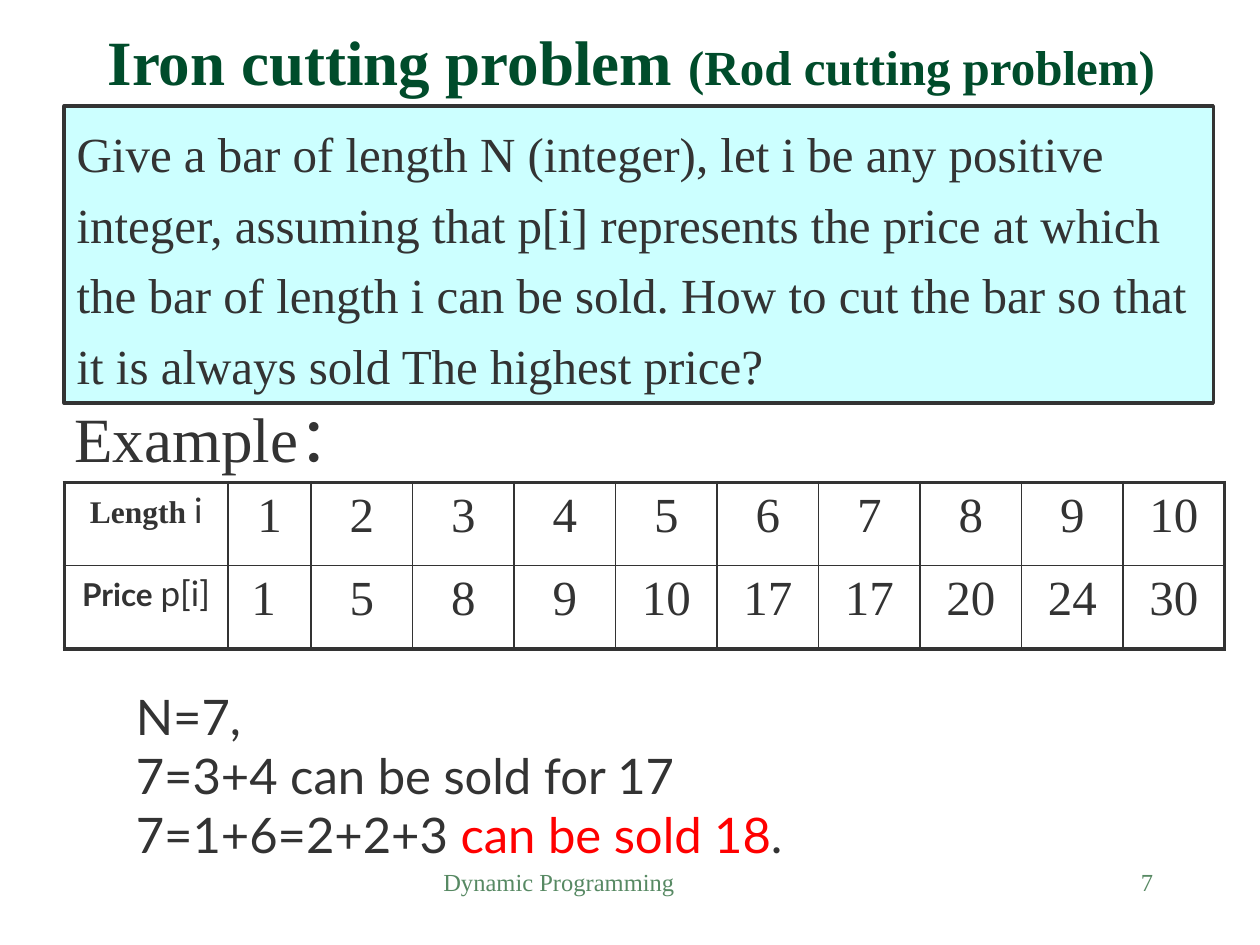
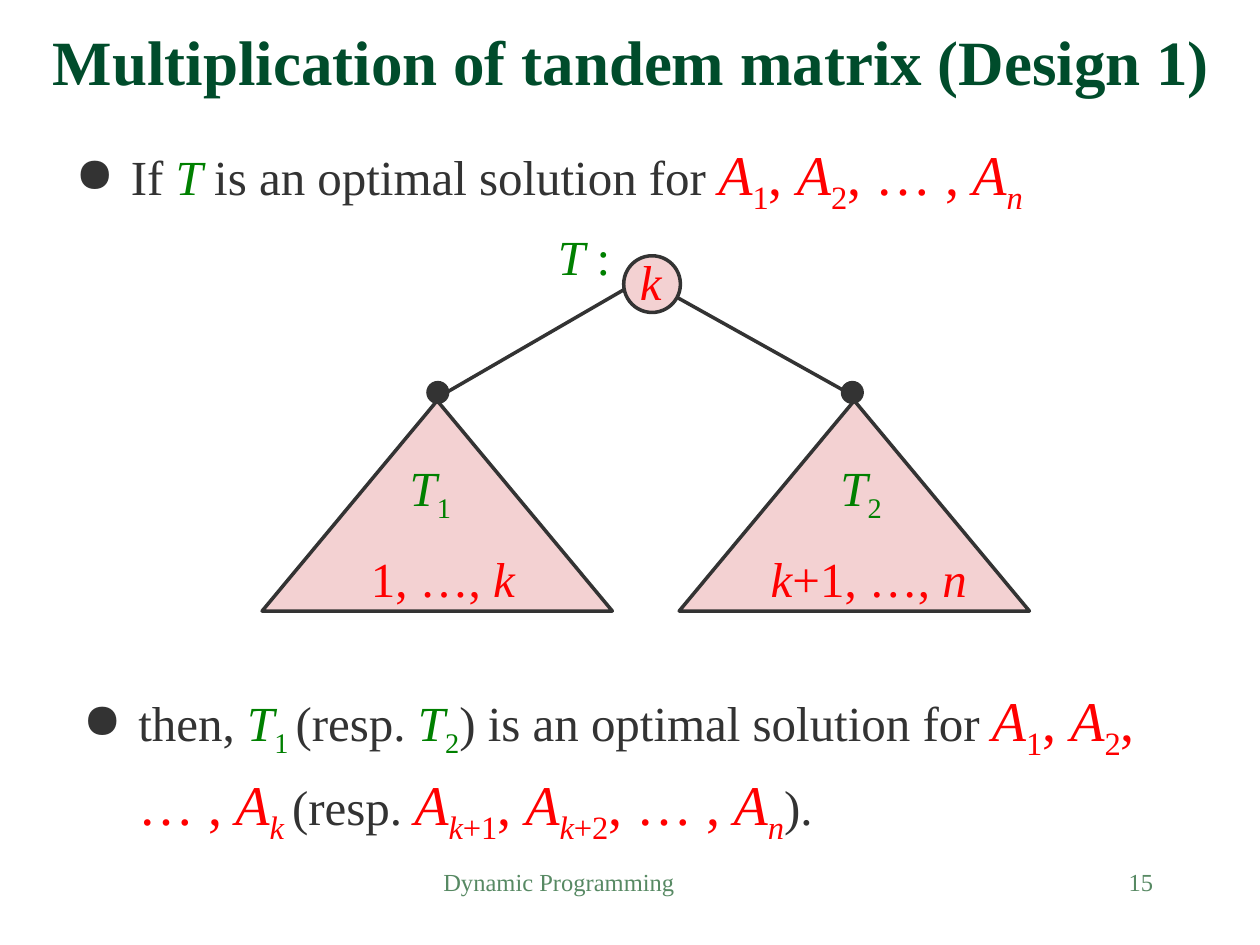
from dataclasses import dataclass, field
from itertools import groupby
from typing import NamedTuple

from lxml.etree import SubElement
from pptx import Presentation
from pptx.dml.color import RGBColor
from pptx.enum.shapes import MSO_CONNECTOR, MSO_SHAPE
from pptx.enum.text import MSO_ANCHOR, PP_ALIGN
from pptx.oxml.ns import qn
from pptx.util import Emu, Inches, Pt

COLUMNS, ROWS = 100, 75


@dataclass(frozen=True)
class Theme:
    title: str = "004C2B"
    footer: str = "578963"
    ink: str = "333333"
    tree: str = "008000"
    accent: str = "FF0000"
    panel: str = "CCFFFF"
    node: str = "F3D1D2"
    serif: str = "Times New Roman"
    sans: str = "Lato"
    heading: int = 36
    matrix: int = 32
    body: int = 28
    cell: int = 20
    label: int = 18
    small: int = 14
    line: float = 2
    frame: float = 2.25
    rule: float = 1


T = Theme()


class Box(NamedTuple):
    col: float
    row: float
    cols: float
    rows: float


class Run(NamedTuple):
    text: str
    color: str = T.ink
    size: int = T.body
    face: str = T.serif
    bold: bool = False
    italic: bool = False
    sub: bool = False


@dataclass(frozen=True)
class Para:
    runs: list[Run]
    fmt: dict = field(default_factory=dict)
    bullet: bool = False


@dataclass(frozen=True)
class Branch:
    triangle: Box
    dot: Box
    edge: tuple[float, float, float, float]
    name_box: Box
    name: list[Run]
    range_box: Box
    range: list[Run]


CENTER = {"alignment": PP_ALIGN.CENTER}
BULLET = {"line_spacing": 1.1, "space_before": Pt(6)}
TITLE_BOX = Box(1.9, 2.5, 96.4, 5.8)
FOOTER_BOX = Box(34.2, 68.3, 31.7, 5)
NUMBER_BOX = Box(71.7, 68.3, 20.8, 5)

prs = Presentation()
prs.slide_width, prs.slide_height = Inches(10), Inches(7.5)


def x(cols: float) -> Emu:
    return Emu(round(prs.slide_width * cols / COLUMNS))


def y(rows: float) -> Emu:
    return Emu(round(prs.slide_height * rows / ROWS))


def place(box: Box) -> tuple[Emu, Emu, Emu, Emu]:
    return x(box.col), y(box.row), x(box.cols), y(box.rows)


def assign(target, values: dict) -> None:
    for key, value in values.items():
        setattr(target, key, value)


def write(tf, paras: list[Para]) -> None:
    for i, para in enumerate(paras):
        p = tf.paragraphs[0] if i == 0 else tf.add_paragraph()
        assign(p, {"alignment": PP_ALIGN.LEFT} | para.fmt)
        if para.bullet:
            pPr = p._p.get_or_add_pPr()
            pPr.set("marL", str(Inches(0.44)))
            pPr.set("indent", str(-Inches(0.44)))
            color = SubElement(pPr, qn("a:buClr"))
            SubElement(color, qn("a:srgbClr"), val=T.ink)
            SubElement(pPr, qn("a:buChar"), char="●")
        for run in para.runs:
            r = p.add_run()
            r.text = run.text
            assign(r.font, {"name": run.face, "size": Pt(run.size),
                            "bold": run.bold, "italic": run.italic})
            r.font.color.rgb = RGBColor.from_string(run.color)
            if run.sub:
                r._r.get_or_add_rPr().set("baseline", "-25000")


def add_text(s, box: Box, paras: list[Para], wrap: bool = True,
             anchor: MSO_ANCHOR = MSO_ANCHOR.TOP) -> None:
    tf = s.shapes.add_textbox(*place(box)).text_frame
    assign(tf, {"word_wrap": wrap, "vertical_anchor": anchor})
    write(tf, paras)


def set_line(line, width: float) -> None:
    line.color.rgb = RGBColor.from_string(T.ink)
    line.width = Pt(width)


def add_shape(s, kind: MSO_SHAPE, box: Box, fill: str, width: float = T.line):
    sp = s.shapes.add_shape(kind, *place(box))
    sp.shadow.inherit = False
    sp.fill.solid()
    sp.fill.fore_color.rgb = RGBColor.from_string(fill)
    set_line(sp.line, width)
    return sp


def add_line(s, x1: float, y1: float, x2: float, y2: float) -> None:
    cx = s.shapes.add_connector(MSO_CONNECTOR.STRAIGHT, x(x1), y(y1), x(x2), y(y2))
    set_line(cx.line, T.line)
    SubElement(cx._element.spPr, qn("a:effectLst"))


def new_slide(number: int, title: list[Run]):
    s = prs.slides.add_slide(prs.slide_layouts[6])
    add_text(s, FOOTER_BOX, [Para([Run("Dynamic Programming", T.footer, T.small)])])
    add_text(s, NUMBER_BOX, [Para([Run(str(number), T.footer, T.small)],
                                  {"alignment": PP_ALIGN.RIGHT})])
    add_text(s, TITLE_BOX, [Para(title, CENTER)], anchor=MSO_ANCHOR.BOTTOM)
    return s


def heading(text: str, size: int = T.heading) -> Run:
    return Run(text, T.title, size, bold=True)


def indexed(name: str, index: str, color: str, size: int) -> list[Run]:
    parts = [Run("".join(group), color, size, italic=is_letter, sub=True)
             for is_letter, group in groupby(index, str.isalpha)]
    return [Run(name, color, size, italic=True), *parts]


def subtree(index: str) -> list[Run]:
    return indexed("T", index, T.tree, T.body)


def matrices(first: str, second: str, last: str) -> list[Run]:
    def matrix(index: str, name: str = "A") -> list[Run]:
        return indexed(name, index, T.accent, T.matrix)

    return [*matrix(first), Run(", ", T.accent, T.matrix), *matrix(second),
            Run(", … ,", T.accent, T.matrix), *matrix(last, " A")]


def accent(text: str, italic: bool = False) -> Run:
    return Run(text, T.accent, italic=italic)


def set_borders(cell, widths: dict[str, float]) -> None:
    tcPr = cell._tc.get_or_add_tcPr()
    for i, (side, width) in enumerate(widths.items()):
        ln = tcPr.makeelement(qn(f"a:{side}"), {"w": str(Pt(width))})
        SubElement(SubElement(ln, qn("a:solidFill")), qn("a:srgbClr"), val=T.ink)
        tcPr.insert(i, ln)


def add_price_table(s, box: Box, rows: list[list[list[Run]]]) -> None:
    last_row, last_col = len(rows) - 1, len(rows[0]) - 1
    table = s.shapes.add_table(len(rows), len(rows[0]), *place(box)).table
    assign(table, {"first_row": False, "horz_banding": False})
    head, first = 13, 6.6
    rest = (box.cols - head - first) / (last_col - 1)
    for column, width in zip(table.columns, [head, first] + [rest] * (last_col - 1)):
        column.width = x(width)
    for r, row in enumerate(rows):
        table.rows[r].height = y(box.rows / len(rows))
        for c, runs in enumerate(row):
            cell = table.cell(r, c)
            cell.fill.background()
            write(cell.text_frame, [Para(runs, CENTER)])
            edges = {"lnL": c == 0, "lnR": c == last_col,
                     "lnT": r == 0, "lnB": r == last_row}
            set_borders(cell, {side: T.frame if outer else T.rule
                               for side, outer in edges.items()})


def rod_cutting_slide() -> None:
    s = new_slide(7, [heading("Iron cutting problem "),
                      heading("(Rod cutting problem)", T.body)])
    problem = ("Give a bar of length N (integer), let i be any positive integer, "
               "assuming that p[i] represents the price at which the bar of length i "
               "can be sold. How to cut the bar so that it is always sold "
               "The highest price?")
    sp = add_shape(s, MSO_SHAPE.RECTANGLE, Box(5.1, 8.4, 91.2, 23.6), T.panel)
    sp.text_frame.vertical_anchor = MSO_ANCHOR.TOP
    sp.text_frame.word_wrap = True
    write(sp.text_frame, [Para([Run(problem)], {"line_spacing": 1.2})])

    lengths = [Run("Length ", size=T.label, bold=True), Run("i", size=T.cell, face=T.sans)]
    prices = [Run("Price ", size=T.label, face=T.sans, bold=True),
              Run("p[i]", size=T.cell, face=T.sans)]
    price_values = ["1 ", 5, 8, 9, 10, 17, 17, 20, 24, 30]
    add_price_table(s, Box(5.1, 38.3, 92.1, 13.2), [
        [lengths, *([Run(str(n))] for n in range(1, 11))],
        [prices, *([Run(str(n))] for n in price_values)],
    ])
    add_text(s, Box(4.3, 31.2, 26, 7.1), [Para([Run("Example：", size=T.heading)], CENTER)])
    add_text(s, Box(9.8, 54, 67.7, 15), [
        Para([Run("N=7,", face=T.sans)]),
        Para([Run("7=3+4 can be sold for 17", face=T.sans)]),
        Para([Run("7=1+6=2+2+3 ", face=T.sans),
              Run("can be sold 18", T.accent, face=T.sans),
              Run(".", face=T.sans)]),
    ])


def matrix_chain_slide() -> None:
    s = new_slide(15, [heading("Multiplication of tandem matrix (Design 1)")])
    branches = [
        Branch(Box(20.8, 31.8, 27.8, 16.7), Box(33.9, 30.3, 1.7, 1.7),
               (49.5, 23, 35, 31.4), Box(31.3, 36.1, 5.7, 5.7), subtree("1"),
               Box(28.3, 43, 13.7, 5.7), [accent("1, …, "), accent("k", True)]),
        Branch(Box(53.9, 31.8, 27.8, 16.7), Box(66.8, 30.3, 1.7, 1.7),
               (52.3, 22.8, 66.8, 30.9), Box(65.5, 36.1, 5.7, 5.7), subtree("2"),
               Box(59.9, 43, 18.1, 5.7),
               [accent("k", True), accent("+1, …, "), accent("n", True)]),
    ]
    for b in branches:
        add_line(s, *b.edge)
        add_shape(s, MSO_SHAPE.ISOSCELES_TRIANGLE, b.triangle, T.node)
        add_shape(s, MSO_SHAPE.OVAL, b.dot, T.ink, T.rule)
        for box, runs in ((b.name_box, b.name), (b.range_box, b.range)):
            add_text(s, box, [Para(runs, CENTER)], False, MSO_ANCHOR.MIDDLE)
    add_shape(s, MSO_SHAPE.OVAL, Box(49.5, 20.3, 4.5, 4.5), T.node)
    add_text(s, Box(49.8, 19.5, 3.8, 5.7), [Para([accent("k", True)])], False)
    add_text(s, Box(43.3, 17.5, 6.2, 5.7),
             [Para([Run("T ", T.tree, italic=True), Run(":", T.tree)])], False)

    premise = [Run("If "), Run("T ", T.tree, italic=True),
               Run("is an optimal solution for "), *matrices("1", "2", "n")]
    conclusion = [Run("then, "), *subtree("1 "), Run("(resp. "), *subtree("2"),
                  Run(") is an optimal solution for "), *matrices("1", "2", "k "),
                  Run("(resp. "), *matrices("k+1", "k+2", "n"), Run(").")]
    for box, runs in ((Box(5, 10, 92.4, 6.5), premise),
                      (Box(5.6, 53.3, 92.4, 12.7), conclusion)):
        add_text(s, box, [Para(runs, BULLET, bullet=True)])


def main() -> None:
    rod_cutting_slide()
    matrix_chain_slide()
    prs.save("out.pptx")


if __name__ == "__main__":
    main()
